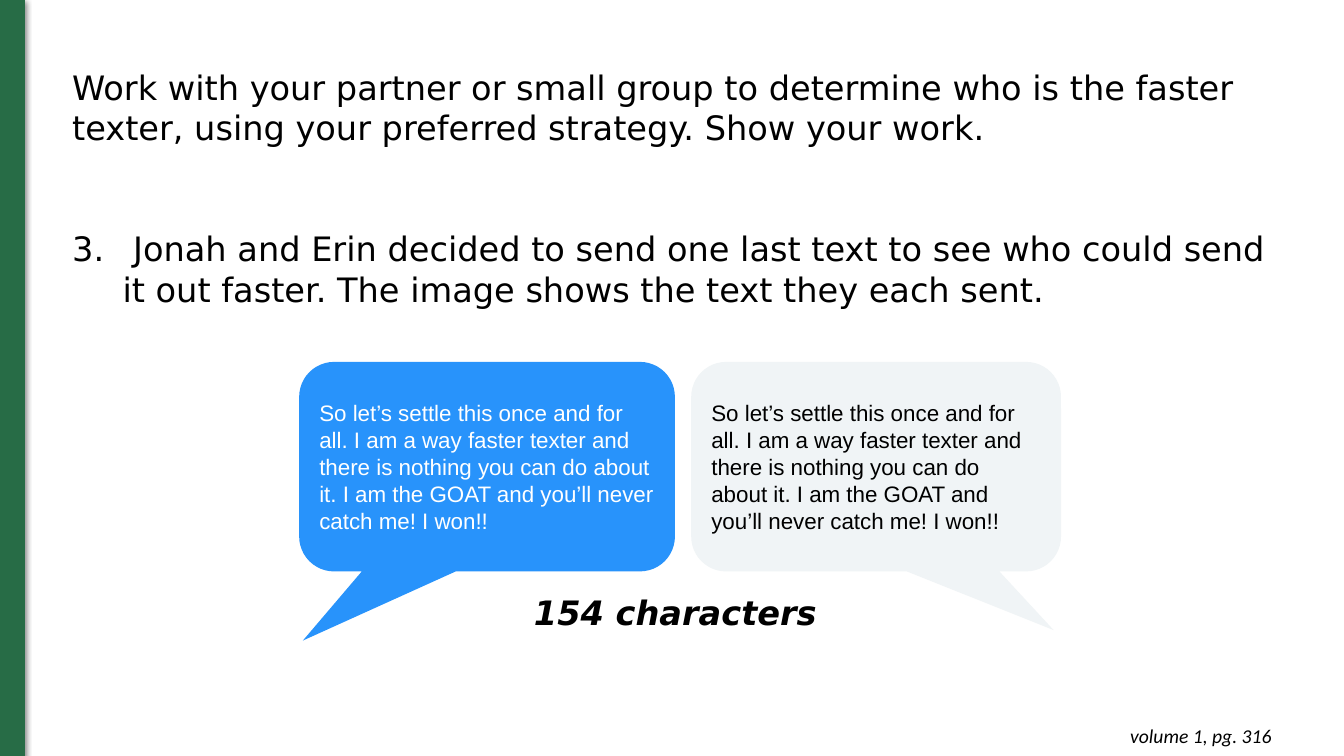
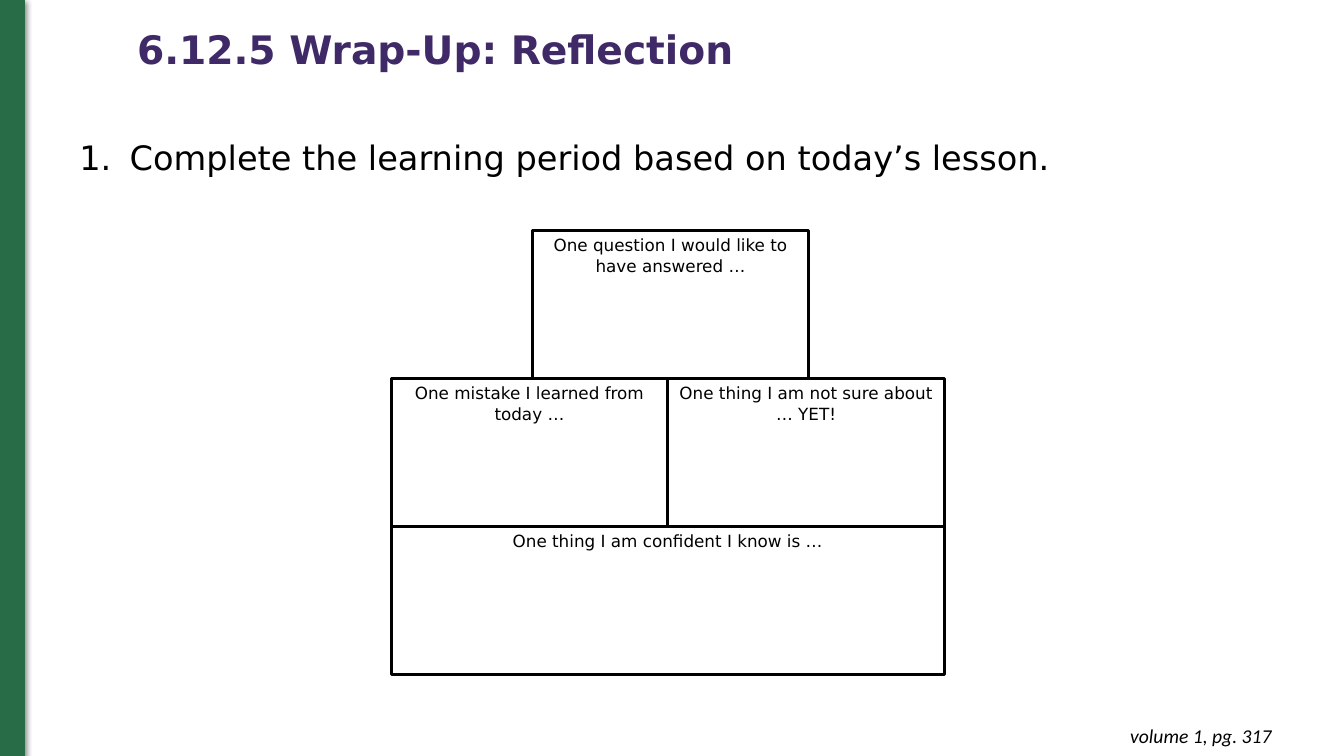
from lxml import etree
from pptx import Presentation
from pptx.dml.color import RGBColor
from pptx.enum.shapes import MSO_SHAPE
from pptx.enum.text import MSO_ANCHOR, PP_ALIGN
from pptx.oxml import parse_xml
from pptx.oxml.ns import nsdecls, qn
from pptx.util import Cm, Pt

GREEN = RGBColor(0x27, 0x6C, 0x46)
PURPLE = RGBColor(0x3F, 0x2A, 0x67)
BLUE = RGBColor(0x28, 0x93, 0xFB)
PALE = RGBColor(0xF0, 0xF4, 0xF6)
BLACK = RGBColor(0, 0, 0)
WHITE = RGBColor(0xFF, 0xFF, 0xFF)

BODY_FONT = "DejaVu Sans"
LEFT, CENTER, RIGHT = PP_ALIGN.LEFT, PP_ALIGN.CENTER, PP_ALIGN.RIGHT
TOP, MIDDLE = MSO_ANCHOR.TOP, MSO_ANCHOR.MIDDLE
RECTANGLE = MSO_SHAPE.RECTANGLE
CALLOUT = MSO_SHAPE.ROUNDED_RECTANGULAR_CALLOUT

BAND_SHADOW = (
    f'<a:effectLst {nsdecls("a")}>'
    '<a:outerShdw blurRad="57150" dist="19050" dir="5400000" algn="ctr" rotWithShape="0">'
    '<a:srgbClr val="000000"><a:alpha val="50000"/></a:srgbClr>'
    '</a:outerShdw></a:effectLst>'
)


def write(shape, text, size=24, color=BLACK, font=BODY_FONT, align=LEFT,
          anchor=TOP, bold=False, italic=False):
    """Fill a shape with one formatted paragraph and return the paragraph."""
    frame = shape.text_frame
    frame.word_wrap = True
    frame.vertical_anchor = anchor
    frame.text = text
    paragraph = frame.paragraphs[0]
    paragraph.alignment = align
    run_font = paragraph.runs[0].font
    run_font.name = font
    run_font.size = Pt(size)
    run_font.color.rgb = color
    run_font.bold = bold
    run_font.italic = italic
    return paragraph


def number(paragraph, start):
    """Give a paragraph a hanging number."""
    properties = paragraph._p.get_or_add_pPr()
    properties.set("marL", str(Cm(1.27)))
    properties.set("indent", str(Cm(-1.27)))
    etree.SubElement(properties, qn("a:buAutoNum"), type="arabicPeriod", startAt=str(start))


prs = Presentation()
prs.slide_width = Cm(33.87)
prs.slide_height = Cm(19.05)
texting = prs.slides.add_slide(prs.slide_layouts[6])
reflection = prs.slides.add_slide(prs.slide_layouts[5])

# Green band and page reference on both slides
for slide, page in ((texting, 316), (reflection, 317)):
    band = slide.shapes.add_shape(RECTANGLE, 0, 0, Cm(0.62), prs.slide_height)
    band.fill.solid()
    band.fill.fore_color.rgb = GREEN
    band.line.color.rgb = GREEN
    band.line.width = Pt(0.75)
    band._element.spPr.append(parse_xml(BAND_SHADOW))

    page_reference = slide.shapes.add_textbox(Cm(24.98), Cm(17.98), Cm(7.32), Cm(1.12))
    page_reference.text_frame.margin_top = Cm(0.25)
    page_reference.text_frame.margin_bottom = Cm(0.25)
    write(page_reference, f"volume 1, pg. {page}", 14, font="Calibri", align=RIGHT, italic=True)

# Slide 1: the texting contest
instruction = texting.shapes.add_textbox(Cm(1.57), Cm(1.55), Cm(30.89), Cm(2.3))
write(instruction, "Work with your partner or small group to determine who is the faster texter, "
                   "using your preferred strategy. Show your work.")

question = texting.shapes.add_textbox(Cm(1.57), Cm(5.63), Cm(30.89), Cm(2.3))
number(write(question, " Jonah and Erin decided to send one last text to see who could send it out "
                       "faster. The image shows the text they each sent."), 3)

MESSAGE = ("So let’s settle this once and for all. I am a way faster texter and there is "
           "nothing you can do about it. I am the GOAT and you’ll never catch me! I won!!")
for left, width, tail, fill, color in (
    (7.54, 9.47, (-0.49, 0.83), BLUE, WHITE),
    (17.42, 9.32, (0.48, 0.78), PALE, BLACK),
):
    bubble = texting.shapes.add_shape(CALLOUT, Cm(left), Cm(9.12), Cm(width), Cm(5.28))
    bubble.shadow.inherit = False
    bubble.adjustments[0], bubble.adjustments[1] = tail
    bubble.fill.solid()
    bubble.fill.fore_color.rgb = fill
    bubble.line.fill.background()
    write(bubble, MESSAGE, 16, color, "Arial", anchor=MIDDLE).space_after = Pt(8)

message_length = texting.shapes.add_textbox(Cm(12), Cm(14.78), Cm(10.04), Cm(1.27))
write(message_length, "154 characters", align=CENTER, bold=True, italic=True)

# Slide 2: the reflection pyramid
title = reflection.shapes.title
title.left, title.top, title.width, title.height = Cm(3.2), Cm(0), Cm(22.28), Cm(2.62)
write(title, "6.12.5 Wrap-Up: Reflection", 28, PURPLE,
      anchor=MIDDLE, bold=True).line_spacing = 0.9

task = reflection.shapes.add_textbox(Cm(1.75), Cm(3.33), Cm(27.89), Cm(1.27))
number(write(task, "Complete the learning period based on today’s lesson."), 1)

PYRAMID_LEFT, PYRAMID_TOP = 9.86, 5.8
BLOCK_WIDTH, BLOCK_HEIGHT = 6.97, 3.73
for row, column, span, prompt in (
    (0, 0.51, 1, "One question I would like to have answered …"),
    (1, 0, 1, "One mistake I learned from today …"),
    (1, 1, 1, "One thing I am not sure about … YET!"),
    (2, 0, 2, "One thing I am confident I know is …"),
):
    block = reflection.shapes.add_shape(
        RECTANGLE,
        Cm(PYRAMID_LEFT + column * BLOCK_WIDTH), Cm(PYRAMID_TOP + row * BLOCK_HEIGHT),
        Cm(span * BLOCK_WIDTH), Cm(BLOCK_HEIGHT))
    block.shadow.inherit = False
    block.fill.solid()
    block.fill.fore_color.rgb = WHITE
    block.line.color.rgb = BLACK
    block.line.width = Pt(2.25)
    write(block, prompt, 12, align=CENTER).space_after = Pt(10)

prs.save("out.pptx")
